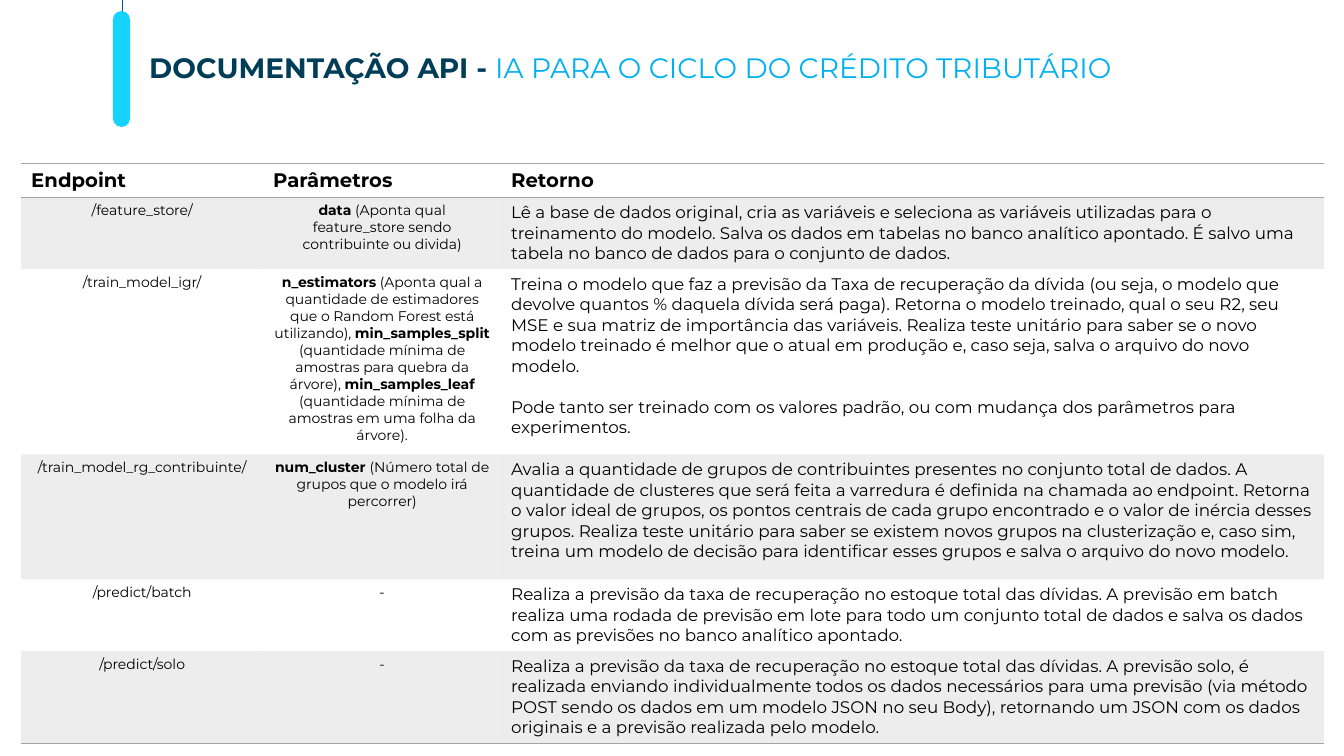
"""Builds the API documentation slide with its endpoint table."""
from dataclasses import dataclass

import lxml.etree
import pptx
import pptx.dml.color
import pptx.enum.shapes
import pptx.enum.text
import pptx.oxml
import pptx.oxml.ns
import pptx.util

Inches = pptx.util.Inches
Pt = pptx.util.Pt
Align = pptx.enum.text.PP_ALIGN

FONT = "Montserrat"
COLORS = {
    "stem": "005980",
    "bar": "15D2FF",
    "title": "003D58",
    "subtitle": "00B0F0",
    "text": "000000",
    "gray": "A5A5A5",
}
COLUMN_WIDTHS = (2.4, 2.36, 8.16)
HEADINGS = ("Endpoint", "Parâmetros", "Retorno")
NO_STYLE = "{2D5ABB26-0587-4C30-8999-92F81FD0307C}"


@dataclass(frozen=True)
class Run:
    text: str
    bold: bool = False


@dataclass(frozen=True)
class Endpoint:
    route: str
    parameters: tuple[Run, ...]
    returns: tuple[str, ...]
    height: float


ENDPOINTS = (
    Endpoint(
        "/feature_store/",
        (Run("data", True), Run(" (Aponta qual feature_store sendo contribuinte ou divida)")),
        ("Lê a base de dados original, cria as variáveis e seleciona as variáveis utilizadas "
         "para o treinamento do modelo. Salva os dados em tabelas no banco analítico apontado. "
         "É salvo uma tabela no banco de dados para o conjunto de dados.",),
        0.67,
    ),
    Endpoint(
        "/train_model_igr/",
        (
            Run("n_estimators", True),
            Run(" (Aponta qual a quantidade de estimadores que o Random Forest está utilizando), "),
            Run("min_samples_split ", True),
            Run("(quantidade mínima de amostras para quebra da árvore), "),
            Run("min_samples_leaf ", True),
            Run("(quantidade mínima de amostras em uma folha da árvore)."),
        ),
        ("Treina o modelo que faz a previsão da Taxa de recuperação da dívida (ou seja, o modelo "
         "que devolve quantos % daquela dívida será paga). Retorna o modelo treinado, qual o seu "
         "R2, seu MSE e sua matriz de importância das variáveis. Realiza teste unitário para saber "
         "se o novo modelo treinado é melhor que o atual em produção e, caso seja, salva o arquivo "
         "do novo modelo.",
         "Pode tanto ser treinado com os valores padrão, ou com mudança dos parâmetros para "
         "experimentos."),
        1.84,
    ),
    Endpoint(
        "/train_model_rg_contribuinte/",
        (Run("num_cluster ", True), Run("(Número total de grupos que o modelo irá percorrer)")),
        ("Avalia a quantidade de grupos de contribuintes presentes no conjunto total de dados. A "
         "quantidade de clusteres que será feita a varredura é definida na chamada ao endpoint. "
         "Retorna o valor ideal de grupos, os pontos centrais de cada grupo encontrado e o valor "
         "de inércia desses grupos. Realiza teste unitário para saber se existem novos grupos na "
         "clusterização e, caso sim, treina um modelo de decisão para identificar esses grupos e "
         "salva o arquivo do novo modelo.",),
        1.24,
    ),
    Endpoint(
        "/predict/batch",
        (Run("-"),),
        ("Realiza a previsão da taxa de recuperação no estoque total das dívidas. A previsão em "
         "batch realiza uma rodada de previsão em lote para todo um conjunto total de dados e "
         "salva os dados com as previsões no banco analítico apontado.",),
        0.68,
    ),
    Endpoint(
        "/predict/solo",
        (Run("-"),),
        ("Realiza a previsão da taxa de recuperação no estoque total das dívidas. A previsão solo, "
         "é realizada enviando individualmente todos os dados necessários para uma previsão (via "
         "método POST sendo os dados em um modelo JSON no seu Body), retornando um JSON com os "
         "dados originais e a previsão realizada pelo modelo.",),
        0.86,
    ),
)


def rgb(name: str) -> pptx.dml.color.RGBColor:
    return pptx.dml.color.RGBColor.from_string(COLORS[name])


def add_run(paragraph, run: Run, size: float, color: str = "text") -> None:
    text_run = paragraph.add_run()
    text_run.text = run.text
    text_run.font.name = FONT
    text_run.font.size = Pt(size)
    text_run.font.bold = run.bold
    text_run.font.color.rgb = rgb(color)


def add_child(parent, tag: str, **attributes: str):
    return lxml.etree.SubElement(parent, pptx.oxml.ns.qn(tag), attributes)


def fill_cell(cell, paragraphs: tuple[tuple[Run, ...], ...], size: float, align: Align) -> None:
    for index, runs in enumerate(paragraphs):
        paragraph = cell.text_frame.paragraphs[0] if index == 0 else cell.text_frame.add_paragraph()
        paragraph.alignment = align
        if index:
            paragraph.space_before = Pt(14.6)
        for run in runs:
            add_run(paragraph, run, size)


def format_cell(cell, shaded: bool, borders: tuple[str, ...]) -> None:
    properties = cell._tc.get_or_add_tcPr()
    for tag in borders:
        line = add_child(properties, tag, w=str(Pt(1)))
        add_child(add_child(line, "a:solidFill"), "a:srgbClr", val=COLORS["gray"])
    if shaded:
        cell.fill.solid()
        cell.fill.fore_color.rgb = rgb("gray")
        add_child(properties.find(".//a:solidFill/a:srgbClr", properties.nsmap)
                  if not borders else properties[-1][0], "a:alpha", val="20000")
    else:
        cell.fill.background()


def add_title(slide) -> None:
    title = slide.shapes.title
    title.left, title.top, title.width, title.height = map(Inches, (1.38, 0.09, 11.76, 1.15))
    frame = title.text_frame
    frame.word_wrap = True
    frame.auto_size = pptx.enum.text.MSO_AUTO_SIZE.NONE
    frame.vertical_anchor = pptx.enum.text.MSO_ANCHOR.MIDDLE
    paragraph = frame.paragraphs[0]
    paragraph.alignment = Align.JUSTIFY
    add_run(paragraph, Run("DOCUMENTAÇÃO API - ", True), 20, "title")
    add_run(paragraph, Run("IA PARA O CICLO DO CRÉDITO TRIBUTÁRIO"), 20, "subtitle")


def add_marker(slide) -> None:
    stem = slide.shapes.add_connector(
        pptx.enum.shapes.MSO_CONNECTOR.STRAIGHT, Inches(1.21), 0, Inches(1.21), Inches(1.15))
    stem.line.color.rgb = rgb("stem")
    stem.line.width = Pt(0.5)
    add_child(stem._element.spPr, "a:effectLst")
    bar = slide.shapes.add_shape(
        pptx.enum.shapes.MSO_SHAPE.ROUNDED_RECTANGLE, *map(Inches, (1.12, 0.11, 0.17, 1.15)))
    bar.adjustments[0] = 0.5
    bar.shadow.inherit = False
    bar.fill.solid()
    bar.fill.fore_color.rgb = rgb("bar")
    bar.line.fill.background()


def add_endpoint_table(slide) -> None:
    heights = (0.32, *(endpoint.height for endpoint in ENDPOINTS))
    table = slide.shapes.add_table(
        len(heights), len(COLUMN_WIDTHS), Inches(0.21), Inches(1.62),
        Inches(sum(COLUMN_WIDTHS)), Inches(sum(heights))).table
    table._tbl.tblPr.find(pptx.oxml.ns.qn("a:tableStyleId")).text = NO_STYLE
    for column, width in zip(table.columns, COLUMN_WIDTHS):
        column.width = Inches(width)
    for row, height in zip(table.rows, heights):
        row.height = Inches(height)
    for cell, heading in zip(table.rows[0].cells, HEADINGS):
        fill_cell(cell, ((Run(heading, True),),), 14, Align.LEFT)
        format_cell(cell, False, ("a:lnT", "a:lnB"))
    for index, endpoint in enumerate(ENDPOINTS, start=1):
        route, parameters, returns = table.rows[index].cells
        fill_cell(route, ((Run(endpoint.route),),), 10, Align.CENTER)
        fill_cell(parameters, (endpoint.parameters,), 10, Align.CENTER)
        fill_cell(returns, tuple((Run(text),) for text in endpoint.returns), 12, Align.LEFT)
        for cell in (route, parameters, returns):
            format_cell(cell, index % 2 == 1, ("a:lnB",) if index == len(ENDPOINTS) else ())


def main() -> None:
    presentation = pptx.Presentation()
    presentation.slide_width, presentation.slide_height = Inches(13.33), Inches(7.5)
    slide = presentation.slides.add_slide(presentation.slide_layouts[5])
    add_marker(slide)
    add_title(slide)
    add_endpoint_table(slide)
    presentation.save("out.pptx")


if __name__ == "__main__":
    main()
